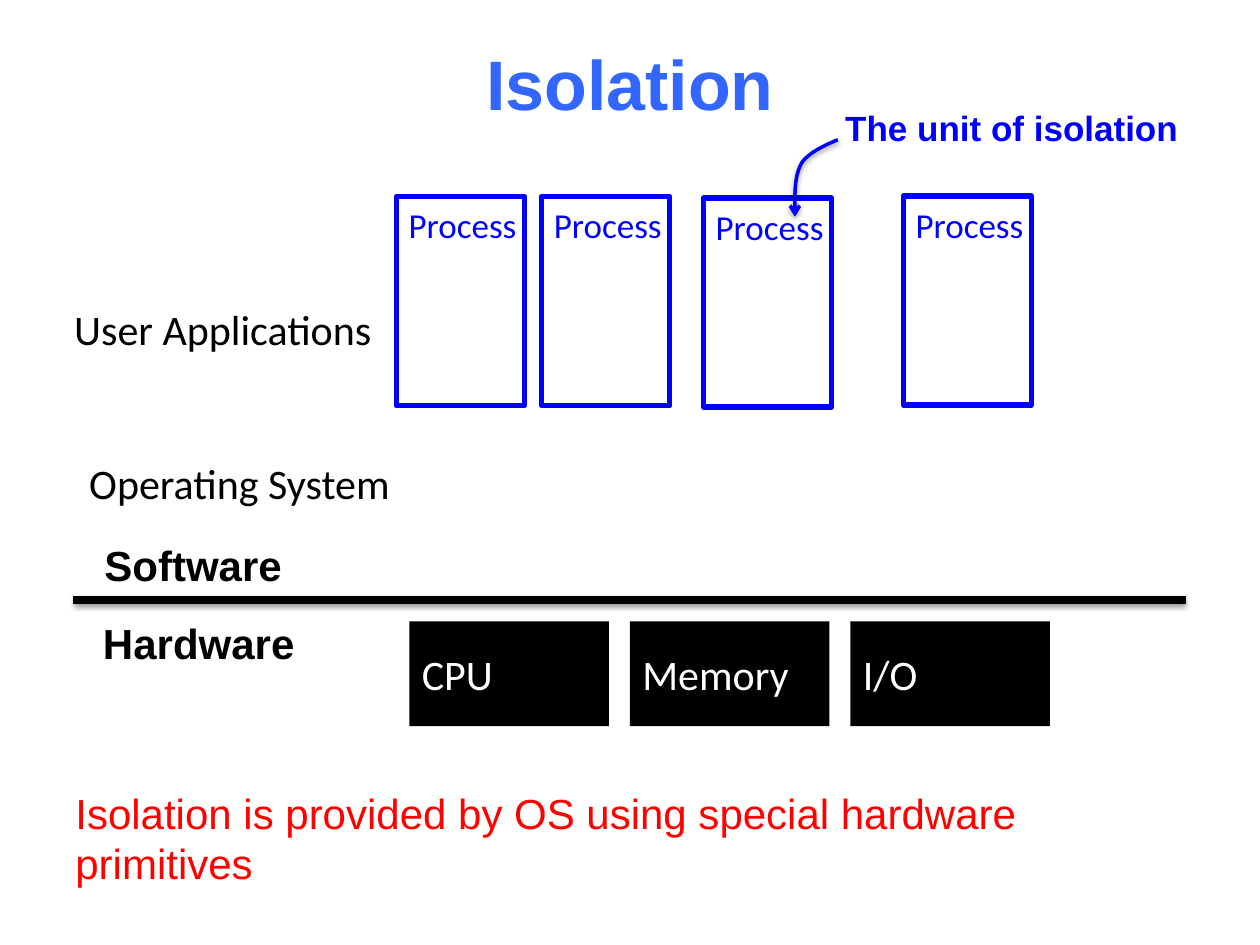
from lxml import etree
from pptx import Presentation
from pptx.dml.color import RGBColor
from pptx.enum.shapes import MSO_CONNECTOR, MSO_SHAPE
from pptx.enum.text import MSO_ANCHOR, MSO_AUTO_SIZE, PP_ALIGN
from pptx.oxml import parse_xml
from pptx.oxml.ns import nsdecls, qn
from pptx.util import Pt

BLACK = RGBColor(0, 0, 0)
WHITE = RGBColor(255, 255, 255)
BLUE = RGBColor(0, 0, 255)
TITLE_BLUE = RGBColor(0x33, 0x66, 0xFF)
RED = RGBColor(255, 0, 0)

# Content: text, (left, top, width, height), size, font, colour, bold, wrap
LABELS = [
    ("Hardware", (51.8, 349.2, 125.3, 36), 24, "Arial", BLACK, True, False),
    ("Software", (52.6, 304.6, 116.6, 36), 24, "Arial", BLACK, True, False),
    ("Operating System", (43.9, 257.8, 198, 36), 24, "Calibri", BLACK, False, True),
    ("User Applications", (35.3, 169.9, 198, 36), 24, "Calibri", BLACK, False, True),
    ("Isolation is provided by OS using special hardware primitives",
     (36, 446.4, 641.5, 65.5), 24, "Arial", RED, False, True),
    ("The unit of isolation", (475.9, 57.6, 233.3, 31.7), 20, "Arial", BLUE, True, True),
]
PROCESS_CORNERS = [(226.4, 112.4), (309.4, 112.4), (401.9, 113.2), (516.1, 112)]
PROCESS_SIZE = (73.4, 119.5)
DEVICES = ["CPU", "Memory", "I/O"]
DEVICE_LEFT, DEVICE_TOP, DEVICE_STEP = 234, 355, 126
DEVICE_SIZE = (114, 60)
DIVIDER = (42, 342.7, 677.5, 342.7)
# Cubic pieces of the pointer, from its arrowhead up to the label
POINTER = [
    [(454.3, 123.8), (454.3, 112.5), (453.6, 101.5), (457.9, 93.6)],
    [(457.9, 93.6), (461.5, 86.4), (478.8, 79.9), (478.8, 79.9)],
]
CURVE_STEPS = 16

presentation = Presentation()
presentation.slide_width, presentation.slide_height = Pt(720), Pt(540)
slide = presentation.slides.add_slide(presentation.slide_layouts[6])
shapes = slide.shapes


def write(shape, text, size, font, color, bold=False, wrap=True,
          align=PP_ALIGN.LEFT, anchor=MSO_ANCHOR.TOP):
    frame = shape.text_frame
    frame.word_wrap = wrap
    frame.auto_size = MSO_AUTO_SIZE.NONE
    frame.vertical_anchor = anchor
    paragraph = frame.paragraphs[0]
    paragraph.text = text
    paragraph.alignment = align
    paragraph.font.size = Pt(size)
    paragraph.font.name = font
    paragraph.font.bold = bold
    paragraph.font.color.rgb = color


def add_label(text, box, *style, **options):
    write(shapes.add_textbox(*map(Pt, box)), text, *style, **options)


def add_box(left, top, size, fill=None, line=None):
    shape = shapes.add_shape(MSO_SHAPE.RECTANGLE, *map(Pt, (left, top, *size)))
    shape.shadow.inherit = False
    if fill is None:
        shape.fill.background()
    else:
        shape.fill.solid()
        shape.fill.fore_color.rgb = fill
    if line is None:
        shape.line.fill.background()
    else:
        shape.line.color.rgb = line
        shape.line.width = Pt(3)
    return shape


def style_line(shape, color, width):
    """Colour a line and give it a soft shadow below."""
    shape.line.color.rgb = color
    shape.line.width = Pt(width)
    shape._element.spPr.append(parse_xml(
        f'<a:effectLst {nsdecls("a")}>'
        f'<a:outerShdw blurRad="{Pt(3.1)}" dist="{Pt(1.6)}" dir="5400000" rotWithShape="0">'
        '<a:srgbClr val="000000"><a:alpha val="38000"/></a:srgbClr>'
        '</a:outerShdw></a:effectLst>'))


def curve_point(piece, t):
    weights = ((1 - t) ** 3, 3 * t * (1 - t) ** 2, 3 * t * t * (1 - t), t ** 3)
    return tuple(Pt(sum(w * point[axis] for w, point in zip(weights, piece)))
                 for axis in (0, 1))


# Title and labels
add_label("Isolation", (36, 2.2, 648, 90), 40, "Arial", TITLE_BLUE, True,
          align=PP_ALIGN.CENTER, anchor=MSO_ANCHOR.MIDDLE)
for label in LABELS:
    add_label(*label)

# Processes
for left, top in PROCESS_CORNERS:
    add_box(left, top, PROCESS_SIZE, line=BLUE)
    add_label("Process", (left, top + 0.5, 77, 31.7), 20, "Calibri", BLUE, wrap=False)

# Divider between software and hardware
divider = shapes.add_connector(MSO_CONNECTOR.STRAIGHT, *map(Pt, DIVIDER))
style_line(divider, BLACK, 4.5)

# Hardware devices
for index, name in enumerate(DEVICES):
    device = add_box(DEVICE_LEFT + index * DEVICE_STEP, DEVICE_TOP, DEVICE_SIZE, fill=BLACK)
    write(device, name, 24, "Calibri", WHITE, anchor=MSO_ANCHOR.MIDDLE)

# Curved pointer from the label to a process
points = [curve_point(piece, step / CURVE_STEPS)
          for piece in POINTER for step in range(1, CURVE_STEPS + 1)]
builder = shapes.build_freeform(*map(Pt, POINTER[0][0]))
builder.add_line_segments(points, close=False)
pointer = builder.convert_to_shape()
pointer.fill.background()
style_line(pointer, BLUE, 2)
etree.SubElement(pointer.line._get_or_add_ln(), qn("a:headEnd"), type="arrow")

presentation.save("out.pptx")
